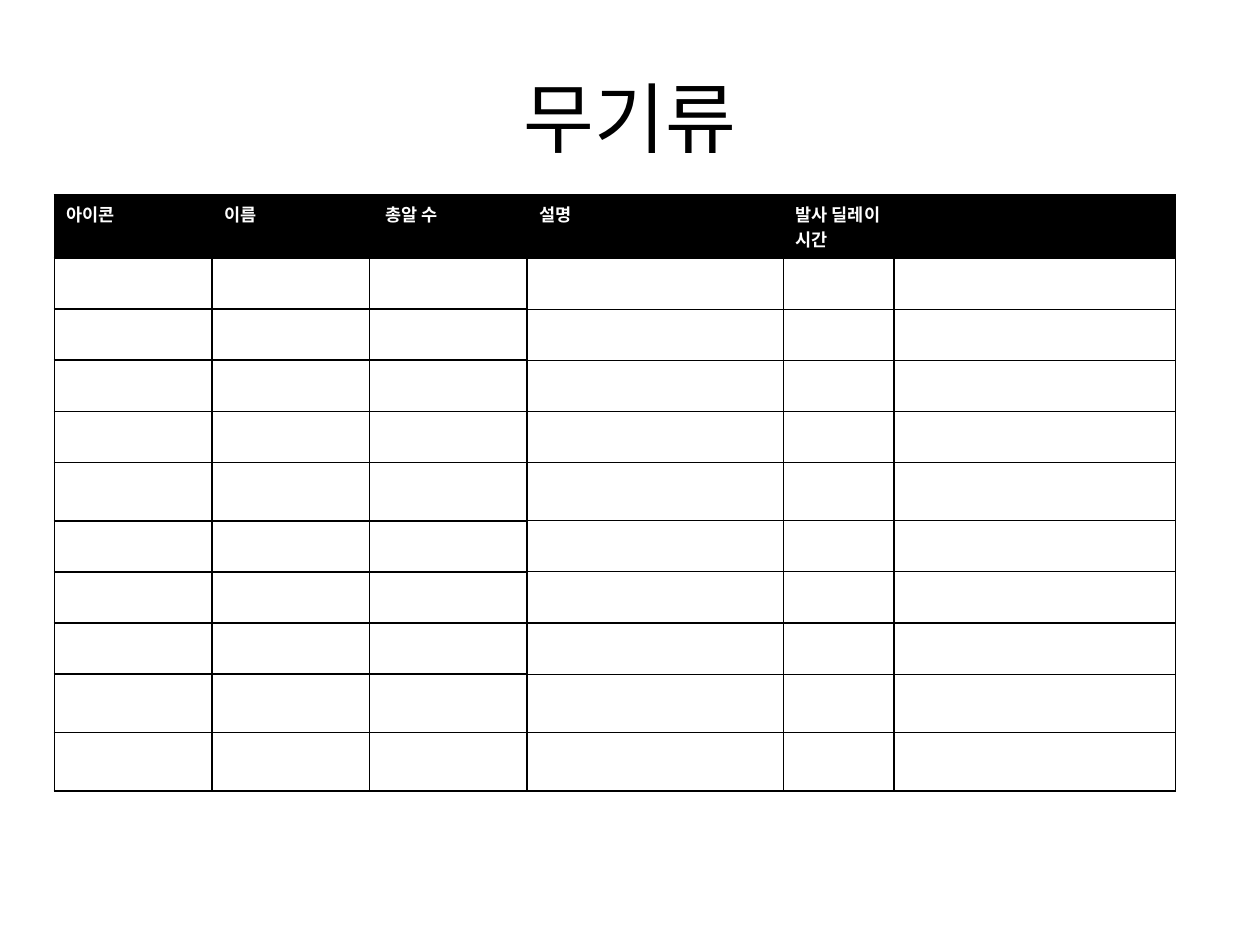
from pptx import Presentation
from pptx.dml.color import RGBColor
from pptx.enum.text import MSO_ANCHOR, PP_ALIGN
from pptx.oxml.ns import qn
from pptx.util import Pt
from lxml import etree

CENTER, LEFT = PP_ALIGN.CENTER, PP_ALIGN.LEFT
MIDDLE, TOP = MSO_ANCHOR.MIDDLE, MSO_ANCHOR.TOP
FONT = "Noto Sans CJK KR"
BLACK, WHITE = "000000", "FFFFFF"
color = RGBColor.from_string


def write(frame, text, size, ink, bold=False, align=LEFT, anchor=TOP):
    frame.vertical_anchor = anchor
    paragraph = frame.paragraphs[0]
    paragraph.alignment = align
    run = paragraph.add_run()
    run.text = text
    run.font.size, run.font.bold, run.font.name = Pt(size), bold, FONT
    run.font.color.rgb = color(ink)
    # Korean glyphs take the East Asian typeface
    etree.SubElement(run.font._element, qn("a:ea"), typeface=FONT)


def set_borders(cell, widths):
    properties = cell._tc.get_or_add_tcPr()
    for position, (side, width) in enumerate(widths.items()):
        line = etree.Element(qn(f"a:ln{side}"), w=str(Pt(width)))
        fill = etree.SubElement(line, qn("a:solidFill"))
        etree.SubElement(fill, qn("a:srgbClr"), val=BLACK)
        properties.insert(position, line)


prs = Presentation()
prs.slide_width, prs.slide_height = Pt(720), Pt(540)
slide = prs.slides.add_slide(prs.slide_layouts[5])

# Title
title = slide.shapes.title
title.left, title.top, title.width, title.height = Pt(36), Pt(21.6), Pt(648), Pt(90)
write(title.text_frame, "무기류", 44, BLACK, align=CENTER, anchor=MIDDLE)

# Weapon table: a header and ten blank rows, some of them taller
headers = ["아이콘", "이름", " 총알 수", "설명", "발사 딜레이 시간", ""]
column_widths = [90, 90, 90, 146.6, 63.2, 160.8]
row_heights = [36] + [29.2] * 4 + [33.4] + [29.2] * 3 + [33.4] * 2
weapons = slide.shapes.add_table(
    len(row_heights), len(headers), Pt(31), Pt(111.4),
    Pt(sum(column_widths)), Pt(sum(row_heights))).table
weapons.horz_banding = False
for column, width in zip(weapons.columns, column_widths):
    column.width = Pt(width)
for row, height in zip(weapons.rows, row_heights):
    row.height = Pt(height)

# Fills and borders: thin outer edge, thin row lines from the fourth column on
for r, row in enumerate(weapons.rows):
    for c, cell in enumerate(row.cells):
        cell.fill.solid()
        cell.fill.fore_color.rgb = color(WHITE if r else BLACK)
        row_line = 1 if c < 3 else 0.75
        set_borders(cell, {
            "L": 0.75 if r == c == 0 else 1,
            "R": 0.75 if c == len(headers) - 1 else 1,
            "T": row_line if r else 0.75,
            "B": row_line,
        })

# Header labels
for cell, label in zip(weapons.rows[0].cells, headers):
    if label:
        write(cell.text_frame, label, 10, WHITE, bold=True)

prs.save("out.pptx")
